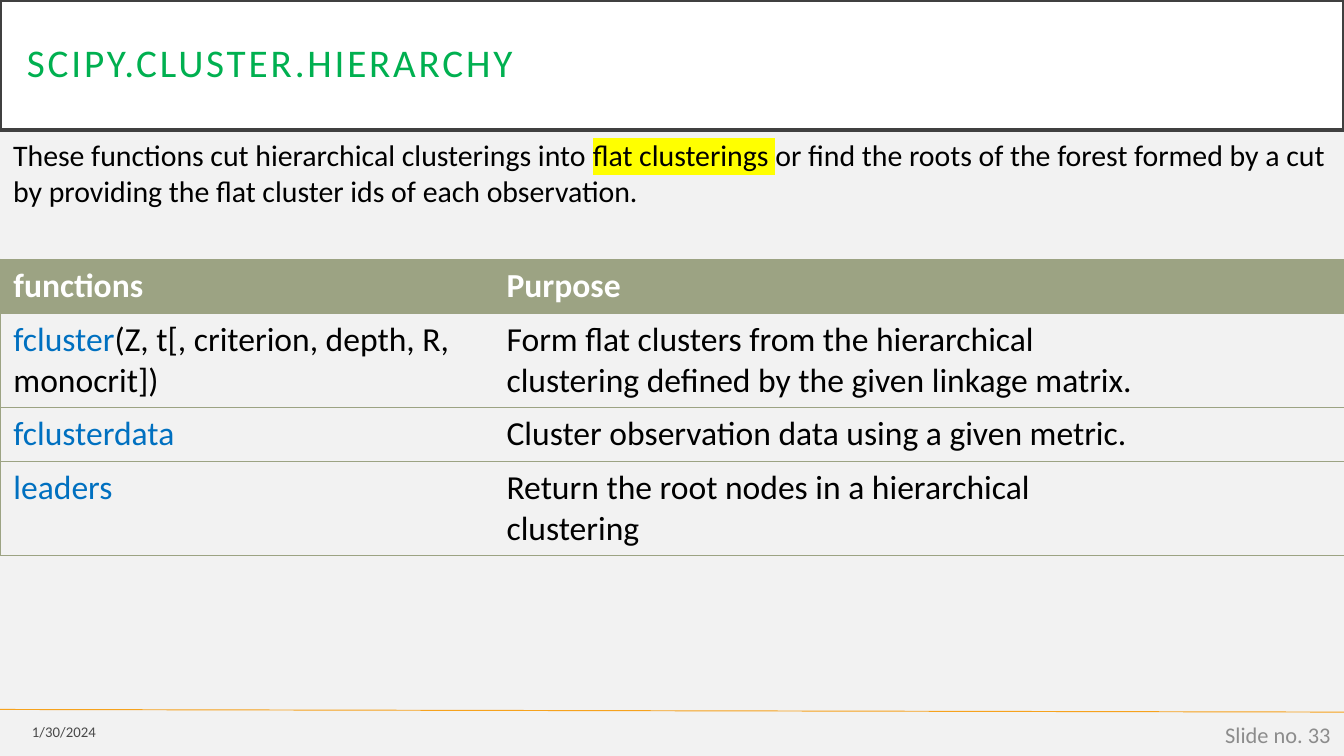
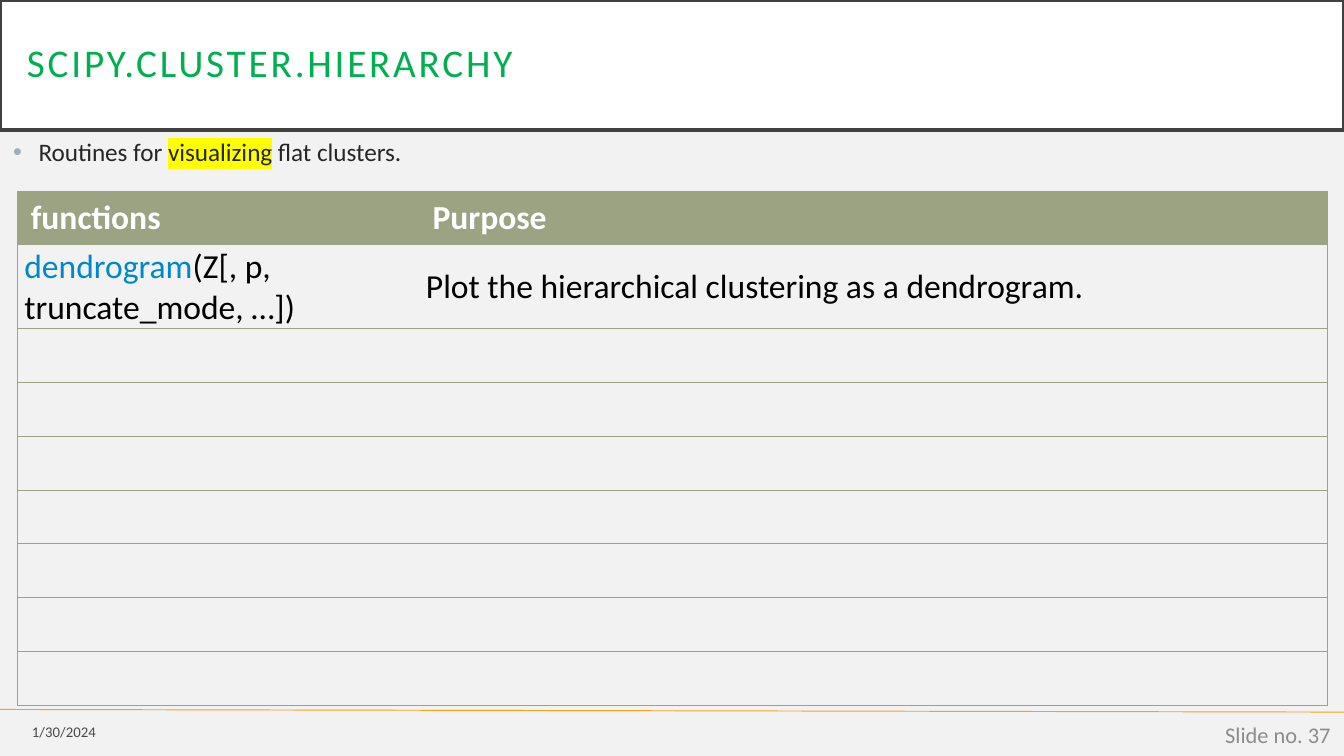
from lxml import etree
from pptx import Presentation
from pptx.dml.color import RGBColor
from pptx.enum.shapes import MSO_CONNECTOR
from pptx.enum.text import MSO_ANCHOR, MSO_AUTO_SIZE, PP_ALIGN
from pptx.oxml.ns import qn
from pptx.util import Cm, Pt

STRAIGHT = MSO_CONNECTOR.STRAIGHT
MIDDLE = MSO_ANCHOR.MIDDLE
NO_FIT = MSO_AUTO_SIZE.NONE
LEFT, RIGHT = PP_ALIGN.LEFT, PP_ALIGN.RIGHT

WHITE = RGBColor(0xFF, 0xFF, 0xFF)
BLACK = RGBColor(0, 0, 0)
PAPER = RGBColor(0xF2, 0xF2, 0xF2)
FRAME = RGBColor(0x40, 0x40, 0x40)
GREEN = RGBColor(0x00, 0xB0, 0x50)
SAGE = RGBColor(0x9C, 0xA3, 0x83)
ORANGE = RGBColor(0xF6, 0xA2, 0x1D)
BLUE = RGBColor(0x00, 0x70, 0xC0)
SKY = RGBColor(0x00, 0x88, 0xCC)
INK = RGBColor(0x26, 0x26, 0x26)
GREY = RGBColor(0x8C, 0x8C, 0x8C)
STEEL = RGBColor(0x9B, 0xAF, 0xB5)
YELLOW = RGBColor(0xFF, 0xFF, 0x00)

WIDE, HIGH = 25.4, 14.29
BAND = (0, 0, WIDE, 2.46)
FOOT = (0, 13.41, WIDE, 0.88)
TITLE = "SCIPY.CLUSTER.HIERARCHY"
HEADS = ("functions", "Purpose")

HEAD_TEXT = {"size": Pt(18), "bold": True, "color": WHITE}
CELL_TEXT = {"size": Pt(18), "bold": False, "color": BLACK}
TIGHT = {"vertical_anchor": MIDDLE, "margin_left": Cm(0.13), "margin_top": Cm(0.03),
         "margin_right": Cm(0.2), "margin_bottom": Cm(0.03)}


def apply(item, looks):
    """Set each named attribute of an item."""
    for name, value in looks.items():
        setattr(item, name, value)


def node(home, tag, **attrs):
    """Add an XML child with the given attributes."""
    return etree.SubElement(home, qn(tag), attrs)


def write(para, runs, looks):
    """Fill a paragraph with (text, changes) runs."""
    for text, change in runs:
        style = {"name": "Calibri", **looks, **change}
        color, mark = style.pop("color"), style.pop("mark", None)
        run = para.add_run()
        run.text = text
        apply(run.font, style)
        run.font.color.rgb = color
        if mark is not None:
            light = etree.Element(qn("a:highlight"))
            node(light, "a:srgbClr", val=str(mark))
            run.font.fill._xPr.find(qn("a:solidFill")).addnext(light)


def add_text(slide, box, runs, looks, frame=None, align=LEFT):
    """Add a wrapped text box and return its paragraph."""
    area = slide.shapes.add_textbox(*map(Cm, box)).text_frame
    apply(area, {"word_wrap": True, **(frame or {})})
    para = area.paragraphs[0]
    para.alignment = align
    write(para, runs, looks)
    return para


def add_title(slide, box):
    """Format the title placeholder as the top band."""
    title = slide.shapes.title
    apply(title, dict(zip(("left", "top", "width", "height"), map(Cm, box))))
    title.fill.solid()
    title.fill.fore_color.rgb = WHITE
    title.line.color.rgb = FRAME
    title.line.width = Pt(2.5)
    sides = ("left", "top", "right", "bottom")
    apply(title.text_frame, {f"margin_{side}": Cm(0.51) for side in sides})
    apply(title.text_frame, {"vertical_anchor": MIDDLE, "word_wrap": True, "auto_size": NO_FIT})
    para = title.text_frame.paragraphs[0]
    apply(para, {"alignment": LEFT, "line_spacing": 0.9})
    write(para, [(TITLE, {})], {"size": Pt(21), "color": GREEN})
    para.runs[0].font._element.set("spc", "150")


def add_foot(slide, box, number):
    """Draw the footer rule, the date and the slide number."""
    left, top, width, _ = box
    rule = slide.shapes.add_connector(
        STRAIGHT, Cm(left), Cm(top), Cm(left + width), Cm(top + 0.05))
    rule.line.color.rgb = ORANGE
    rule.line.width = Pt(0.5)
    node(rule._element.spPr, "a:effectLst")
    mid = {"vertical_anchor": MIDDLE}
    date = add_text(slide, (left, top + 0.08, 2.06, 0.69), [("1/30/2024", {})],
                    {"size": Pt(7.9), "color": BLACK}, mid, RIGHT)
    node(date.runs[0].font._element.find(".//" + qn("a:srgbClr")), "a:alpha", val="70000")
    add_text(slide, (left + width - 5.71, top + 0.1, 5.71, 0.76),
             [(f"Slide no. {number}", {})], {"size": Pt(12), "color": GREY}, mid, RIGHT)


def add_edges(cell, first, last):
    """Rule a cell above and below, and at the table's outer sides."""
    drawn = {"a:lnL": first, "a:lnR": last, "a:lnT": True, "a:lnB": True}
    props = cell._tc.get_or_add_tcPr()
    for place, (tag, shown) in enumerate(drawn.items()):
        edge = etree.Element(qn(tag), w=str(Pt(0.5)))
        if shown:
            node(node(edge, "a:solidFill"), "a:srgbClr", val=str(SAGE))
        else:
            node(edge, "a:noFill")
        props.insert(place, edge)


def add_grid(slide, box, cols, rows, count, looks=None):
    """Add a ruled table with a head row and a count of body rows."""
    shape = slide.shapes.add_table(count + 1, len(cols), *map(Cm, box))
    table = shape.table
    table.horz_banding = False
    for col, width in zip(table.columns, cols):
        col.width = Cm(width)
    for r, row in enumerate(table.rows):
        for c, cell in enumerate(row.cells):
            if r == 0:
                cell.fill.solid()
                cell.fill.fore_color.rgb = SAGE
            else:
                cell.fill.background()
            add_edges(cell, c == 0, c == len(cols) - 1)
    heads = [[(head, {})] for head in HEADS]
    for r, row in enumerate([heads, *rows]):
        for c, runs in enumerate(row):
            cell = table.cell(r, c)
            if r:
                apply(cell, looks or {})
            write(cell.text_frame.paragraphs[0], runs, CELL_TEXT if r else HEAD_TEXT)


def add_point(slide, box, runs):
    """Add a bulleted line."""
    para = add_text(slide, box, runs, {"size": Pt(13.5), "color": INK})
    para.space_before = Pt(7.5)
    props = para._p.get_or_add_pPr()
    apart = Cm(0.48)
    props.set("marL", str(apart))
    props.set("indent", str(-apart))
    node(node(props, "a:buClr"), "a:srgbClr", val=str(STEEL))
    node(props, "a:buFont", typeface="Arial")
    node(props, "a:buChar", char="•")


def start(deck, number):
    """Add a slide with the shared title and footer."""
    slide = deck.slides.add_slide(deck.slide_layouts[5])
    add_title(slide, BAND)
    add_foot(slide, FOOT, number)
    return slide


def flat_slide(deck):
    """Build the slide on flat clusterings."""
    slide = start(deck, 33)
    link = {"color": BLUE}
    rows = [
        ([("fcluster", link), ("(Z, t[, criterion, depth, R, monocrit])", {})],
         [("Form flat clusters from the hierarchical clustering defined by "
           "the given linkage matrix.", {})]),
        ([("fclusterdata", link)],
         [("Cluster observation data using a given metric.", {})]),
        ([("leaders", link)],
         [("Return the root nodes in a hierarchical clustering", {})]),
    ]
    add_grid(slide, (0, 4.9, WIDE, 3.86), (9.32, 12.8, 3.28), rows, 3)
    add_text(slide, (0, BAND[3], WIDE, 1.63), [
        ("These functions cut hierarchical clusterings into ", {}),
        ("flat clusterings ", {"mark": YELLOW}),
        ("or find the roots of the forest formed by a cut by providing "
         "the flat cluster ids of each observation.", {}),
    ], {"size": Pt(16), "color": BLACK})


def plot_slide(deck):
    """Build the slide on plotting clusters."""
    slide = start(deck, 37)
    add_point(slide, (0, BAND[3], WIDE, 11.02), [
        ("Routines for ", {}), ("visualizing", {"mark": YELLOW}), (" flat clusters.", {})])
    rows = [
        ([("dendrogram", {"color": SKY}), ("(Z[, p, truncate_mode, …])", {})],
         [("Plot the hierarchical clustering as a dendrogram.", {})]),
    ]
    add_grid(slide, (0.33, 3.61, 24.76, 7.82), (7.59, 14, 3.17), rows, 8, TIGHT)


def main():
    """Build and save the deck."""
    deck = Presentation()
    apply(deck, {"slide_width": Cm(WIDE), "slide_height": Cm(HIGH)})
    back = deck.slide_master.background.fill
    back.solid()
    back.fore_color.rgb = PAPER
    flat_slide(deck)
    plot_slide(deck)
    deck.save("out.pptx")


if __name__ == "__main__":
    main()
